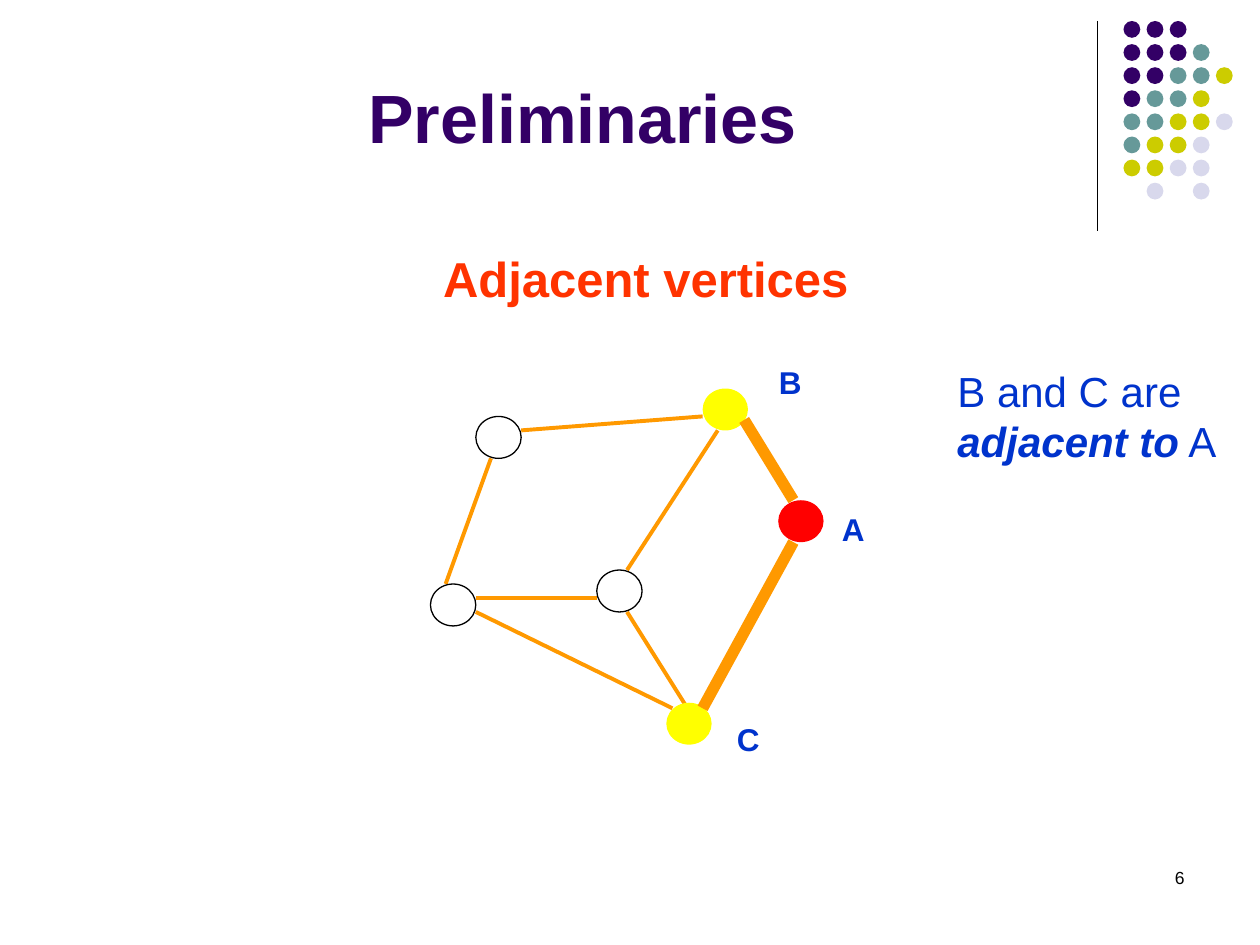
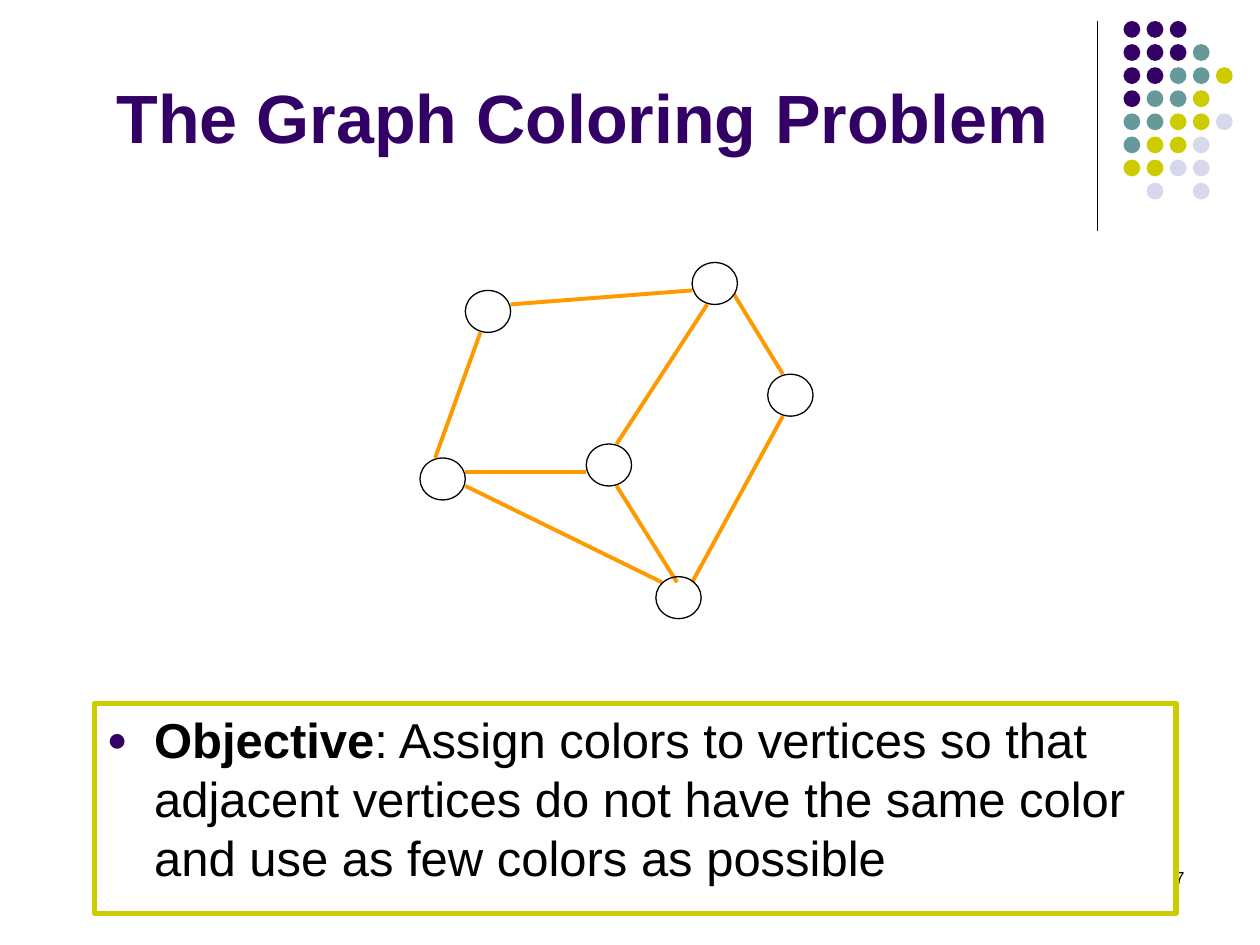
from lxml import etree
from pptx import Presentation
from pptx.dml.color import RGBColor
from pptx.enum.shapes import MSO_CONNECTOR, MSO_SHAPE
from pptx.enum.text import MSO_ANCHOR, PP_ALIGN
from pptx.oxml.ns import qn
from pptx.util import Inches, Pt

OVAL, RECTANGLE = MSO_SHAPE.OVAL, MSO_SHAPE.RECTANGLE
STRAIGHT = MSO_CONNECTOR.STRAIGHT
TOP, MIDDLE, BOTTOM = MSO_ANCHOR.TOP, MSO_ANCHOR.MIDDLE, MSO_ANCHOR.BOTTOM
LEFT, CENTER, RIGHT = PP_ALIGN.LEFT, PP_ALIGN.CENTER, PP_ALIGN.RIGHT

FONT = "Arial"
BLACK = RGBColor(0x00, 0x00, 0x00)
PURPLE = RGBColor(0x33, 0x00, 0x66)
TEAL = RGBColor(0x66, 0x99, 0x99)
OLIVE = RGBColor(0xCC, 0xCC, 0x00)
LAVENDER = RGBColor(0xD8, 0xD8, 0xEC)
ORANGE = RGBColor(0xFF, 0x99, 0x00)
YELLOW = RGBColor(0xFF, 0xFF, 0x00)
RED = RGBColor(0xFF, 0x00, 0x00)
SCARLET = RGBColor(0xFF, 0x33, 0x00)
BLUE = RGBColor(0x00, 0x33, 0xCC)

# The slide is a grid of 120 columns by 90 rows
SLIDE_WIDTH, SLIDE_HEIGHT = Inches(10), Inches(7.5)
COLUMN, ROW = SLIDE_WIDTH / 120, SLIDE_HEIGHT / 90

# Corner ornament: one letter per dot
DOT_COLORS = {"P": PURPLE, "T": TEAL, "O": OLIVE, "L": LAVENDER}
DOT_ROWS = ["PPP", "PPPT", "PPTTO", "PTTO", "TTOOL", "TOOL", "OOLL", " L L"]
DOT_PITCH, DOT_SIZE = 2.2, 1.6

# Graph, measured in its own cells
CELL_WIDTH, CELL_HEIGHT = 1.44, 1.33
VERTEX_SIZE = 3
VERTICES = {"top left": (3, 2), "left": (0, 14), "B": (18, 0),
            "A": (23, 8), "middle": (11, 13), "C": (15.6, 22.5)}
EDGES = {"left-C": (3, 16, 16, 22.9),
         "left-middle": (3, 15, 11, 15),
         "middle-C": (13, 16, 17, 22.9),
         "top left-left": (4, 5, 1, 14),
         "top left-B": (6, 3, 18, 2),
         "middle-B": (13, 13, 19, 3),
         "C-A": (18, 22.9, 24, 11),
         "B-A": (20.75, 2.25, 24, 8)}
EDGES_TO_A = ("C-A", "B-A")


def x(columns):
    return round(columns * COLUMN)


def y(rows):
    return round(rows * ROW)


def add_line(slide, start, end, color, width):
    line = slide.shapes.add_connector(STRAIGHT, x(start[0]), y(start[1]),
                                      x(end[0]), y(end[1]))
    line.line.color.rgb = color
    line.line.width = Pt(width)
    etree.SubElement(line._element.spPr, qn("a:effectLst"))


def add_figure(slide, preset, box, fill=None, outline=None, width=0.75):
    left, top, columns, rows = box
    shape = slide.shapes.add_shape(preset, x(left), y(top), x(columns), y(rows))
    shape.shadow.inherit = False
    if fill is None:
        shape.fill.background()
    else:
        shape.fill.solid()
        shape.fill.fore_color.rgb = fill
    if outline is None:
        shape.line.fill.background()
    else:
        shape.line.color.rgb = outline
        shape.line.width = Pt(width)
    return shape


def write(shape, runs, size, color, align=LEFT, anchor=TOP):
    """Fill a shape with one paragraph of (text, bold, italic) runs."""
    frame = shape.text_frame
    frame.word_wrap = True
    frame.vertical_anchor = anchor
    paragraph = frame.paragraphs[0]
    paragraph.alignment = align
    for text, bold, italic in runs:
        run = paragraph.add_run()
        run.text = text
        run.font.name = FONT
        run.font.size = Pt(size)
        run.font.color.rgb = color
        run.font.bold = bold
        run.font.italic = italic
    return paragraph


def add_text(slide, box, runs, size, color, align=LEFT, anchor=TOP):
    left, top, columns, rows = box
    text_box = slide.shapes.add_textbox(x(left), y(top), x(columns), y(rows))
    write(text_box, runs, size, color, align, anchor)


def add_bullet(paragraph, symbol, color, percent, indent):
    properties = paragraph._p.get_or_add_pPr()
    properties.set("marL", str(indent))
    properties.set("indent", str(-indent))
    bullet_color = etree.SubElement(properties, qn("a:buClr"))
    etree.SubElement(bullet_color, qn("a:srgbClr"), val=str(color))
    etree.SubElement(properties, qn("a:buSzPct"), val=str(percent * 1000))
    etree.SubElement(properties, qn("a:buFont"), typeface=FONT)
    etree.SubElement(properties, qn("a:buChar"), char=symbol)


def add_base_slide(presentation, title, number):
    """Add a slide with the corner ornament, title and page number."""
    slide = presentation.slides.add_slide(presentation.slide_layouts[6])
    add_line(slide, (104.5, 2), (104.5, 22), BLACK, 0.75)
    for row, letters in enumerate(DOT_ROWS):
        for column, letter in enumerate(letters):
            if letter in DOT_COLORS:
                box = (107 + column * DOT_PITCH, 2 + row * DOT_PITCH,
                       DOT_SIZE, DOT_SIZE)
                add_figure(slide, OVAL, box, DOT_COLORS[letter])
    add_text(slide, (6, 6, 99, 9.6), [(title, True, False)], 39, PURPLE,
             CENTER, BOTTOM)
    add_text(slide, (86, 82, 28, 6), [(str(number), False, False)], 10, BLACK,
             RIGHT)
    return slide


def add_edges(slide, origin, names, width):
    left, top = origin
    for name in names:
        x1, y1, x2, y2 = EDGES[name]
        add_line(slide, (left + x1 * CELL_WIDTH, top + y1 * CELL_HEIGHT),
                 (left + x2 * CELL_WIDTH, top + y2 * CELL_HEIGHT), ORANGE, width)


def add_vertices(slide, origin, fills):
    """Draw filled vertices without an outline and the others hollow."""
    for name, (column, row) in VERTICES.items():
        box = (origin[0] + column * CELL_WIDTH, origin[1] + row * CELL_HEIGHT,
               VERTEX_SIZE * CELL_WIDTH, VERTEX_SIZE * CELL_HEIGHT)
        fill = fills.get(name)
        add_figure(slide, OVAL, box, fill, None if fill else BLACK)


def build_adjacent_vertices(presentation):
    slide = add_base_slide(presentation, "Preliminaries", 6)
    add_text(slide, (36, 22, 51, 9), [("Adjacent vertices", True, False)], 28,
             SCARLET, CENTER, MIDDLE)
    # Graph with the edges that meet at A drawn thick
    origin = (41, 37)
    add_edges(slide, origin, [n for n in EDGES if n not in EDGES_TO_A], 2.25)
    add_vertices(slide, origin, {"A": RED, "B": YELLOW, "C": YELLOW})
    add_edges(slide, origin, EDGES_TO_A, 6.5)
    # Vertex names and explanation
    for name, left, top in (("A", 79, 48), ("B", 73, 34), ("C", 69, 68)):
        add_text(slide, (left, top, 8, 4.8), [(name, True, False)], 18, BLUE)
    add_text(slide, (90, 34.2, 28, 10.8),
             [("B and C are ", False, False), ("adjacent to", True, True),
              (" A", False, False)], 24, BLUE)


def build_coloring_problem(presentation):
    slide = add_base_slide(presentation, "The Graph Coloring Problem", 7)
    origin = (40, 25)
    add_edges(slide, origin, EDGES, 2.25)
    add_vertices(slide, origin, {})
    # Objective
    panel = add_figure(slide, RECTANGLE, (9, 67, 103, 20), None, OLIVE, 3)
    paragraph = write(panel, [
        ("Objective", True, False),
        (": Assign colors to vertices so that adjacent vertices do not have "
         "the same color and use as few colors as possible", False, False),
    ], 28, BLACK)
    add_bullet(paragraph, "●", PURPLE, 70, x(4.5))


def main():
    presentation = Presentation()
    presentation.slide_width = SLIDE_WIDTH
    presentation.slide_height = SLIDE_HEIGHT
    build_adjacent_vertices(presentation)
    build_coloring_problem(presentation)
    presentation.save("out.pptx")


if __name__ == "__main__":
    main()
